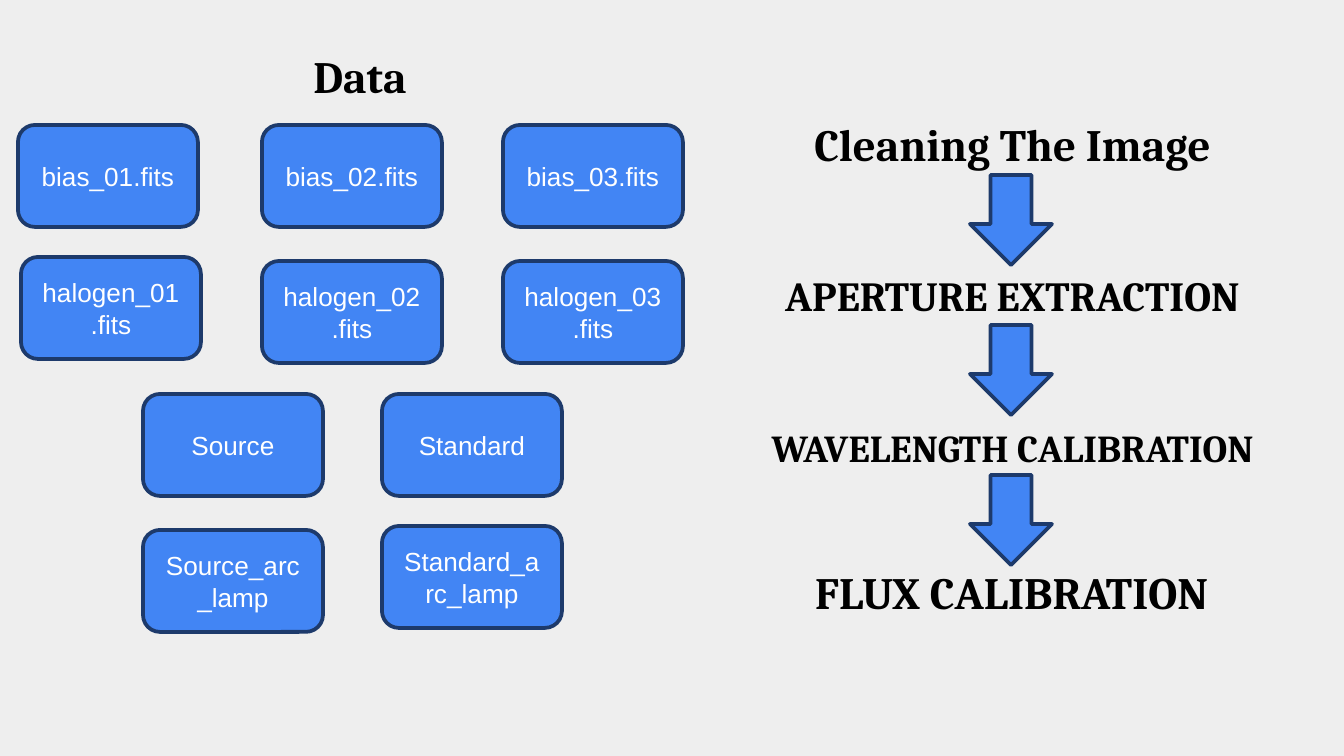
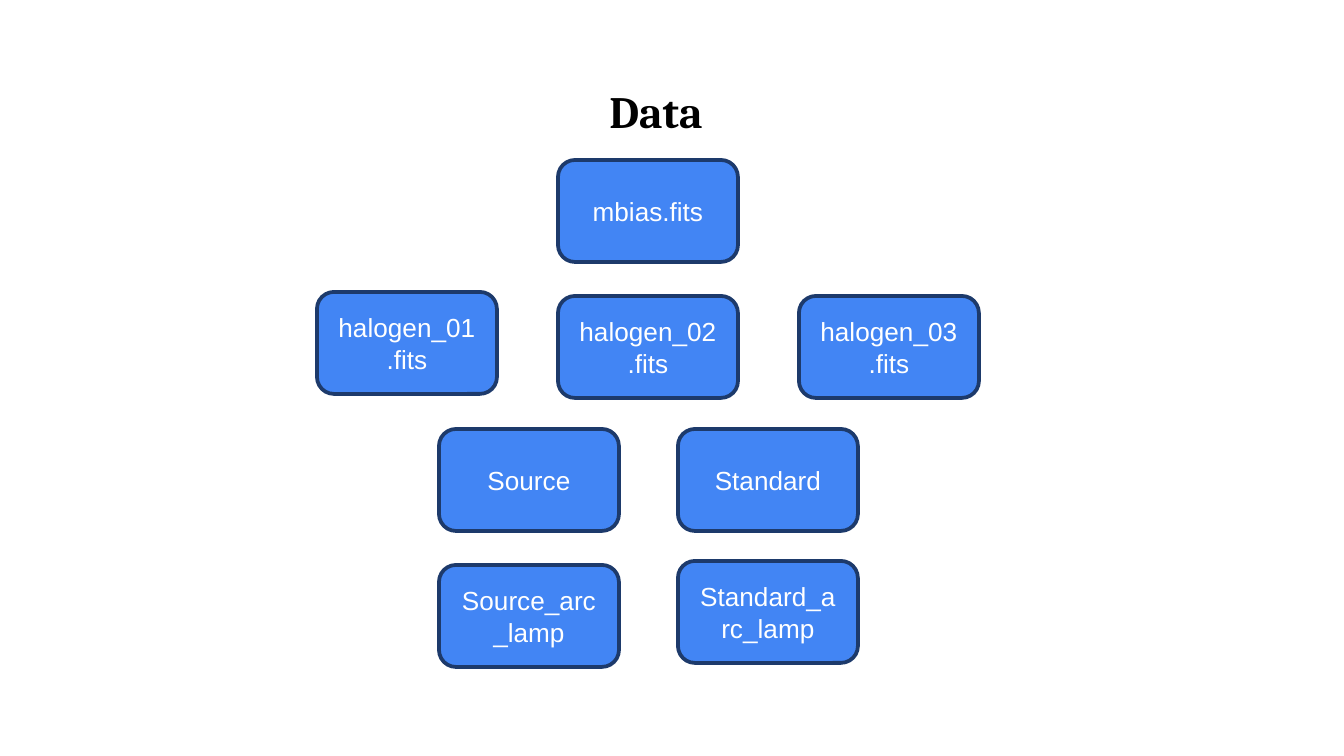
from pptx import Presentation
from pptx.dml.color import RGBColor
from pptx.enum.shapes import MSO_SHAPE as Shape
from pptx.enum.text import MSO_ANCHOR as Anchor, MSO_AUTO_SIZE as AutoSize, PP_ALIGN as Align
from pptx.util import Inches, Pt

# Shared look
EMU_PER_PX = 914400 / 134.4
BLUE, NAVY, WHITE, BLACK, GREY = "4285F4", "1D3A6B", "FFFFFF", "000000", "EEEEEE"
BOX_SIZE = (180, 102)
HEADING_FONT, BOX_FONT = "Cambria", "Arial"

# Data files as (name, left, top), relative to the corner of the group
BIAS_FILES = [("bias_01.fits", 18, 125), ("bias_02.fits", 262, 125), ("bias_03.fits", 503, 125)]
MASTER_BIAS = [("mbias.fits", 262, 125)]
COMMON_FILES = [
    ("halogen_01.fits", 21, 257), ("halogen_02.fits", 262, 261), ("halogen_03.fits", 503, 261),
    ("Source", 143, 394), ("Standard", 382, 394),
    ("Source_arc_lamp", 143, 530), ("Standard_arc_lamp", 382, 526),
]

# Reduction stages as (name, left, top, font size, line spacing)
STAGES = [
    ("Cleaning The Image", 727, 94, 24, 1.0),
    ("APERTURE EXTRACTION", 727, 243, 22.2, 1.0),
    ("WAVELENGTH CALIBRATION", 727, 394, 20.4, 0.9),
    ("FLUX CALIBRATION", 726, 542, 24, 1.0),
]


def px(*lengths):
    return [round(length * EMU_PER_PX) for length in lengths]


def color(value):
    return RGBColor.from_string(value)


def write(shape, text, size, font, ink, anchor, bold=False, spacing=1.0):
    frame = shape.text_frame
    frame.word_wrap = True
    frame.auto_size = AutoSize.NONE
    frame.vertical_anchor = anchor
    frame.text = text
    paragraph = frame.paragraphs[0]
    paragraph.alignment = Align.CENTER
    paragraph.line_spacing = spacing
    paragraph.font.name = font
    paragraph.font.size = Pt(size)
    paragraph.font.bold = bold
    paragraph.font.color.rgb = color(ink)


def write_heading(shape, text, size=24, spacing=1.0):
    frame = shape.text_frame
    frame.margin_left = frame.margin_right = Inches(0.1)
    frame.margin_top = frame.margin_bottom = Inches(0.1)
    write(shape, text, size, HEADING_FONT, BLACK, Anchor.BOTTOM, True, spacing)


def add_blue_shape(slide, kind, left, top, width, height):
    shape = slide.shapes.add_shape(kind, *px(left, top, width, height))
    shape.shadow.inherit = False
    shape.fill.solid()
    shape.fill.fore_color.rgb = color(BLUE)
    shape.line.color.rgb = color(NAVY)
    shape.line.width = Pt(2)
    return shape


def add_slide(presentation, background):
    slide = presentation.slides.add_slide(presentation.slide_layouts[5])
    slide.background.fill.solid()
    slide.background.fill.fore_color.rgb = color(background)
    return slide


def add_data_group(slide, files, left=0, top=0):
    title = slide.shapes.title
    title.left, title.top, title.width, title.height = px(left + 83, top + 4, 554, 112)
    write_heading(title, "Data")
    for name, box_left, box_top in files:
        box = add_blue_shape(slide, Shape.ROUNDED_RECTANGLE, left + box_left, top + box_top, *BOX_SIZE)
        write(box, name, 14, BOX_FONT, WHITE, Anchor.MIDDLE)


def add_stages(slide):
    for name, left, top, size, spacing in STAGES:
        heading = slide.shapes.add_textbox(*px(left, top, 571, 90))
        write_heading(heading, name, size, spacing)
    for step in range(len(STAGES) - 1):
        add_blue_shape(slide, Shape.DOWN_ARROW, 970, 175 + 150 * step, 82, 90)


def main():
    presentation = Presentation()
    presentation.slide_width, presentation.slide_height = px(1344, 756)

    # Raw data and the reduction stages
    slide = add_slide(presentation, GREY)
    add_data_group(slide, BIAS_FILES + COMMON_FILES)
    add_stages(slide)

    # Data with the bias frames merged
    slide = add_slide(presentation, WHITE)
    add_data_group(slide, MASTER_BIAS + COMMON_FILES, 296, 35)

    presentation.save("out.pptx")


if __name__ == "__main__":
    main()
